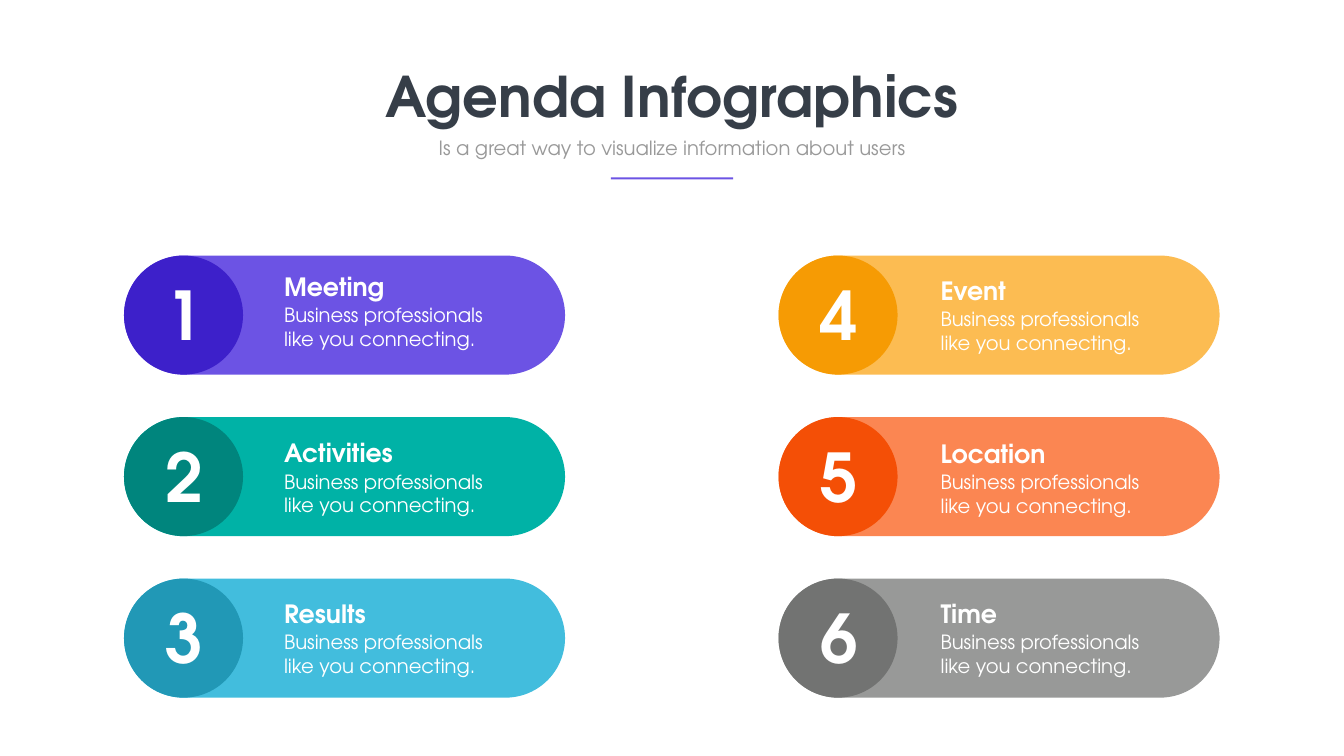
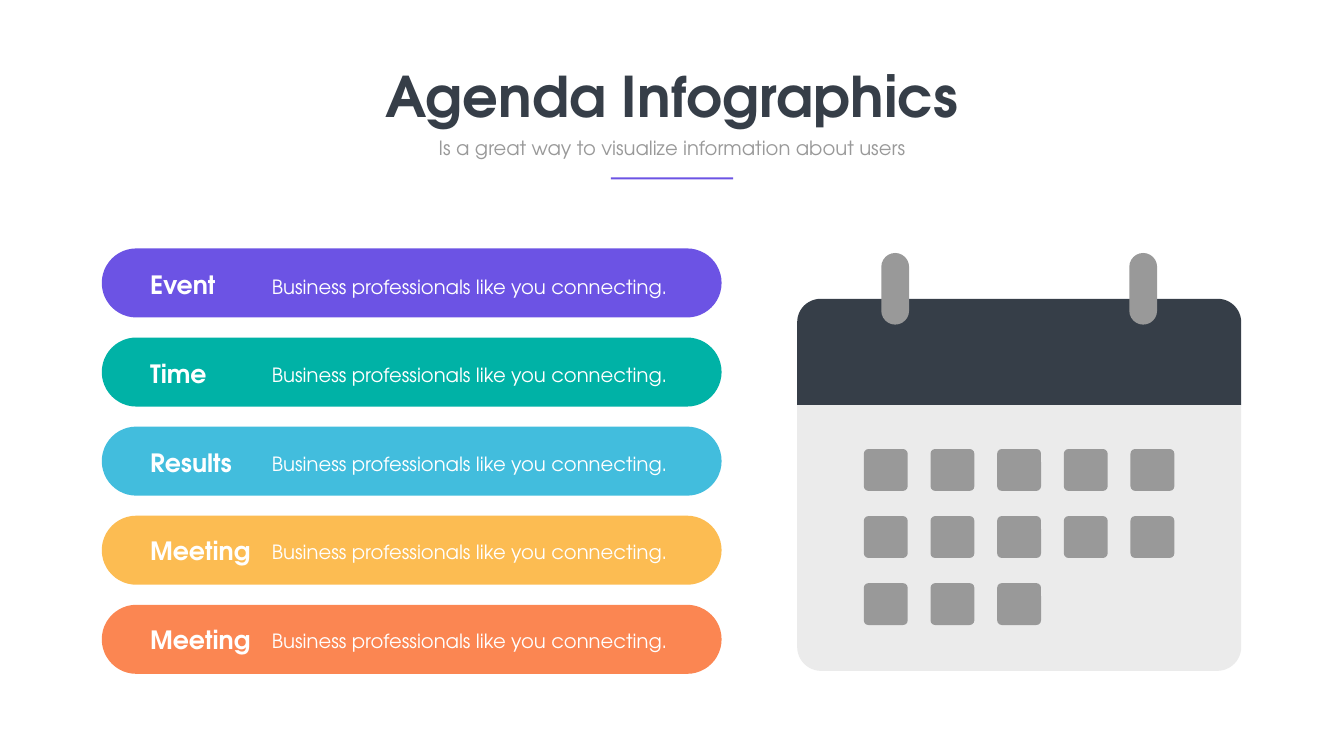
from dataclasses import dataclass

from pptx import Presentation
from pptx.dml.color import RGBColor
from pptx.enum.shapes import MSO_SHAPE
from pptx.enum.text import MSO_ANCHOR, MSO_AUTO_SIZE, PP_ALIGN
from pptx.shapes.autoshape import Shape
from pptx.slide import Slide
from pptx.util import Cm, Pt

FONT = "TeX Gyre Adventor"
SLIDE_WIDTH, SLIDE_HEIGHT = 67.74, 38.1

WHITE = "FFFFFF"
INK = "363E48"
PURPLE = "6C53E4"
TEAL = "00B2A6"
SKY = "42BDDD"
AMBER = "FCBC52"
CORAL = "FB8652"
SILVER = "989998"
GREY = "999999"
PAPER = "EBEBEB"


@dataclass(frozen=True)
class Box:
    left: float
    top: float
    width: float
    height: float


@dataclass(frozen=True)
class TextStyle:
    size: int
    colour: str = WHITE
    bold: bool = False
    alignment: PP_ALIGN = PP_ALIGN.LEFT
    line_spacing: float | None = None


@dataclass(frozen=True)
class AgendaPill:
    heading: str
    colour: str
    disc_colour: str
    heading_top: float


@dataclass(frozen=True)
class AgendaBar:
    heading: str
    colour: str


TITLE = TextStyle(80, INK, True, PP_ALIGN.CENTER)
SUBTITLE = TextStyle(28, GREY, alignment=PP_ALIGN.CENTER)
NUMBER = TextStyle(96, bold=True, alignment=PP_ALIGN.CENTER)
HEADING = TextStyle(36, bold=True)
BODY = TextStyle(28)
BAR_BODY = TextStyle(28, line_spacing=36.6)

PILLS = [
    AgendaPill("Meeting", PURPLE, "3D20CA", 13.54),
    AgendaPill("Activities", TEAL, "00857D", 21.92),
    AgendaPill("Results", SKY, "2198B6", 30.02),
    AgendaPill("Event", AMBER, "F69B04", 13.74),
    AgendaPill("Location", CORAL, "F44F06", 21.95),
    AgendaPill("Time", SILVER, "727372", 30.02),
]
PILL_ROWS = 3
PILL_COLUMNS = [(6.25, 7.82), (39.24, 7.92)]

BARS = [
    AgendaBar("Event", PURPLE),
    AgendaBar("Time", TEAL),
    AgendaBar("Results", SKY),
    AgendaBar("Meeting", AMBER),
    AgendaBar("Meeting", CORAL),
]
CALENDAR_ROWS = [5, 5, 3]


def rgb(colour: str) -> RGBColor:
    return RGBColor.from_string(colour)


def centred(top: float, width: float, height: float) -> Box:
    return Box((SLIDE_WIDTH - width) / 2, top, width, height)


def place(shape: Shape, box: Box) -> None:
    shape.left, shape.top = Cm(box.left), Cm(box.top)
    shape.width, shape.height = Cm(box.width), Cm(box.height)


def add_filled(slide: Slide, kind: MSO_SHAPE, box: Box, colour: str,
               *adjustments: float) -> None:
    shape = slide.shapes.add_shape(
        kind, Cm(box.left), Cm(box.top), Cm(box.width), Cm(box.height))
    for index, value in enumerate(adjustments):
        shape.adjustments[index] = value
    shape.shadow.inherit = False
    shape.fill.solid()
    shape.fill.fore_color.rgb = rgb(colour)
    shape.line.fill.background()


def write(shape: Shape, lines: list[str], style: TextStyle, wrap: bool = True) -> None:
    frame = shape.text_frame
    frame.word_wrap = wrap
    frame.auto_size = MSO_AUTO_SIZE.SHAPE_TO_FIT_TEXT
    frame.vertical_anchor = MSO_ANCHOR.TOP
    for index, line in enumerate(lines):
        paragraph = frame.add_paragraph() if index else frame.paragraphs[0]
        paragraph.alignment = style.alignment
        if style.line_spacing:
            paragraph.line_spacing = Pt(style.line_spacing)
        run = paragraph.add_run()
        run.text = line
        run.font.name = FONT
        run.font.size = Pt(style.size)
        run.font.bold = style.bold
        run.font.color.rgb = rgb(style.colour)


def add_text(slide: Slide, box: Box, lines: list[str], style: TextStyle) -> None:
    shape = slide.shapes.add_textbox(
        Cm(box.left), Cm(box.top), Cm(box.width), Cm(box.height))
    write(shape, lines, style)


def add_agenda_slide(presentation: Presentation) -> Slide:
    slide = presentation.slides.add_slide(presentation.slide_layouts[5])
    title = slide.shapes.title
    place(title, centred(2.97, 29.77, 3.68))
    write(title, ["Agenda Infographics"], TITLE, wrap=False)
    add_text(slide, centred(6.73, 24.28, 1.45),
             ["Is a great way to visualize information about users"], SUBTITLE)
    add_filled(slide, MSO_SHAPE.RECTANGLE, centred(8.94, 6.17, 0.1), PURPLE)
    return slide


def add_pill(slide: Slide, index: int, pill: AgendaPill) -> None:
    column, row = divmod(index, PILL_ROWS)
    left, text_offset = PILL_COLUMNS[column]
    top = 12.88 + 8.14 * row
    text_left = left + text_offset
    add_filled(slide, MSO_SHAPE.ROUNDED_RECTANGLE,
               Box(left, top, 22.23, 6), pill.colour, 0.5)
    add_filled(slide, MSO_SHAPE.OVAL, Box(left, top, 6, 6), pill.disc_colour)
    add_text(slide, Box(left + 1.83, top + 0.79, 2.46, 4.37), [str(index + 1)], NUMBER)
    add_text(slide, Box(text_left, pill.heading_top + 1.62, 12.42, 2.64),
             ["Business professionals", "like you connecting."], BODY)
    add_text(slide, Box(text_left, pill.heading_top, 12.42, 1.8), [pill.heading], HEADING)


def add_bar(slide: Slide, row: int, bar: AgendaBar) -> None:
    add_filled(slide, MSO_SHAPE.ROUNDED_RECTANGLE,
               Box(5.13, 12.52 + 4.49 * row, 31.24, 3.48), bar.colour, 0.5)
    add_text(slide, Box(7.32, 13.46 + 4.47 * row, 7.95, 1.8), [bar.heading], HEADING)
    add_text(slide, Box(13.46, 13.61 + 4.46 * row, 21.54, 1.47),
             ["Business professionals like you connecting."], BAR_BODY)


def add_calendar(slide: Slide) -> None:
    half_rounded = MSO_SHAPE.ROUND_2_SAME_RECTANGLE
    add_filled(slide, half_rounded, Box(40.18, 15.06, 22.38, 5.36), INK, 0.22, 0)
    add_filled(slide, half_rounded, Box(40.18, 20.42, 22.38, 13.39), PAPER, 0, 0.09)
    for row, days in enumerate(CALENDAR_ROWS):
        for column in range(days):
            day = Box(43.54 + 3.36 * column, 22.63 + 3.38 * row, 2.21, 2.11)
            add_filled(slide, MSO_SHAPE.ROUNDED_RECTANGLE, day, GREY, 0.11)
    for ring_left in (44.42, 56.92):
        add_filled(slide, MSO_SHAPE.ROUNDED_RECTANGLE,
                   Box(ring_left, 12.75, 1.4, 3.61), GREY, 0.5)


def main() -> None:
    presentation = Presentation()
    presentation.slide_width = Cm(SLIDE_WIDTH)
    presentation.slide_height = Cm(SLIDE_HEIGHT)

    pill_slide = add_agenda_slide(presentation)
    for index, pill in enumerate(PILLS):
        add_pill(pill_slide, index, pill)

    calendar_slide = add_agenda_slide(presentation)
    for row, bar in enumerate(BARS):
        add_bar(calendar_slide, row, bar)
    add_calendar(calendar_slide)

    presentation.save("out.pptx")


if __name__ == "__main__":
    main()
